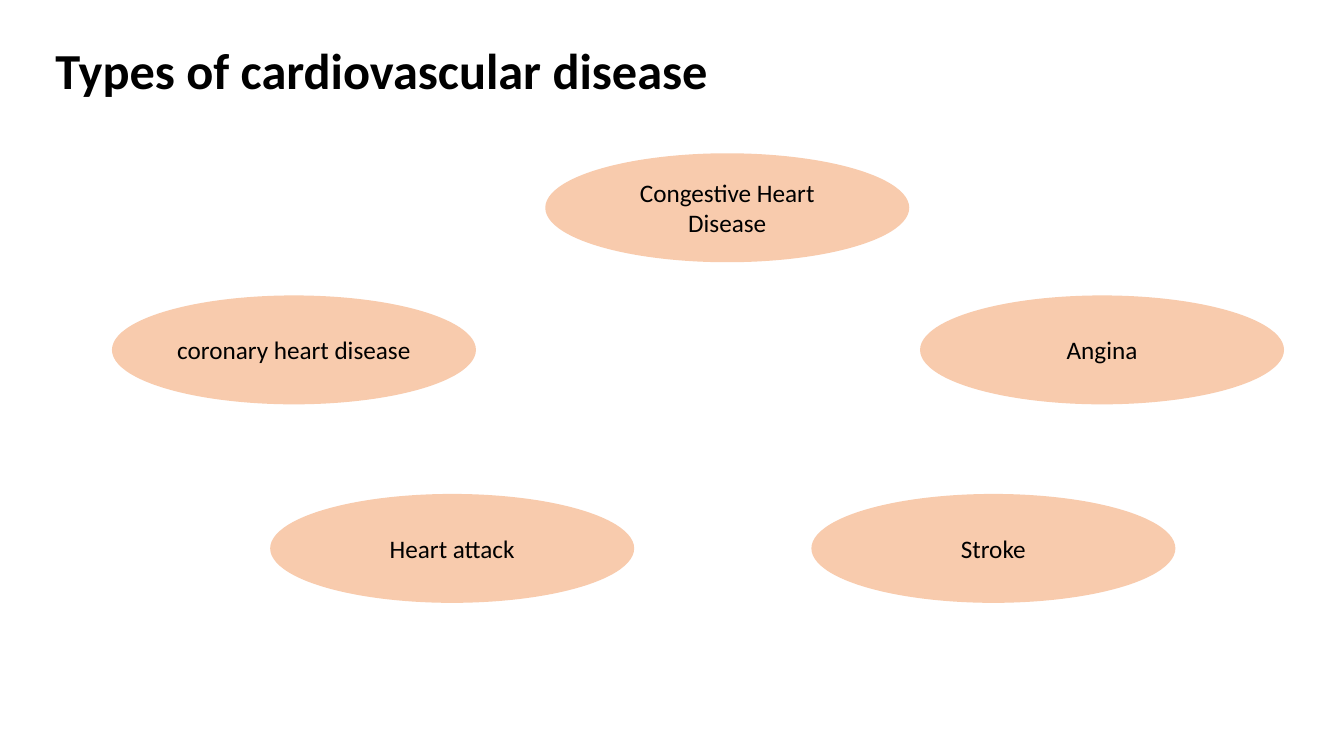
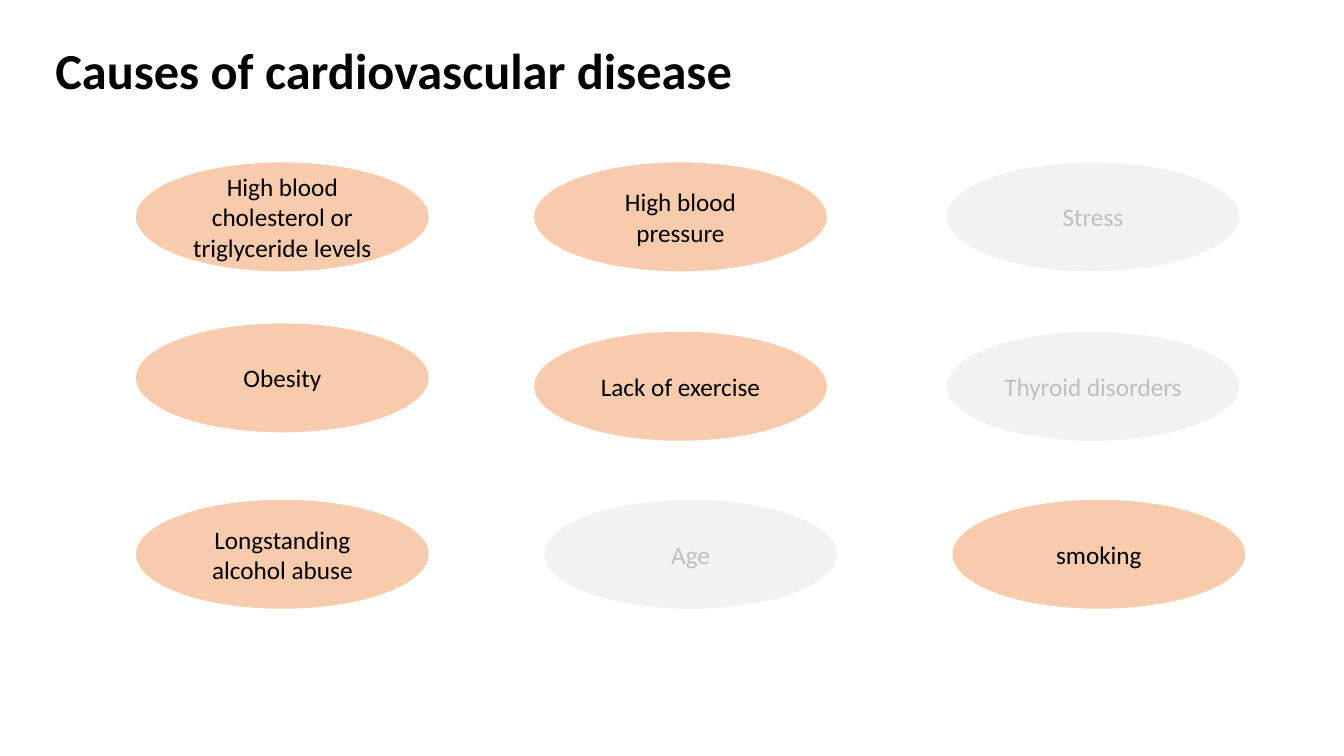
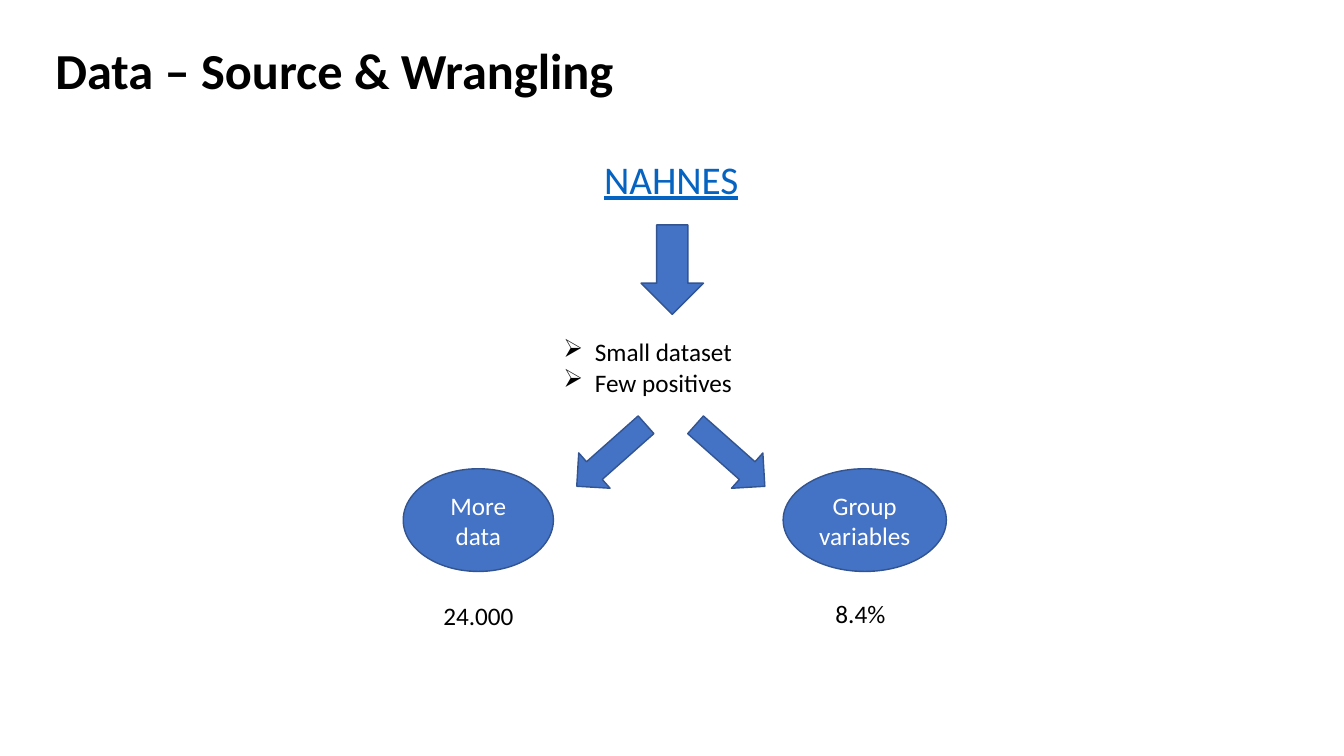
import pptx
import pptx.util
import pptx.dml.color
import pptx.enum.shapes
import pptx.enum.text
import pptx.oxml.ns
from lxml import etree

Pt = pptx.util.Pt
RGBColor = pptx.dml.color.RGBColor
Shape = pptx.enum.shapes.MSO_SHAPE
Align = pptx.enum.text.PP_ALIGN

BLACK = RGBColor(0x00, 0x00, 0x00)
WHITE = RGBColor(0xFF, 0xFF, 0xFF)
PEACH = RGBColor(0xF8, 0xCB, 0xAD)
PALE_GREY = RGBColor(0xF2, 0xF2, 0xF2)
FADED_TEXT = RGBColor(0xBF, 0xBF, 0xBF)
BLUE = RGBColor(0x44, 0x72, 0xC4)
DARK_BLUE = RGBColor(0x32, 0x54, 0x91)
LINK_BLUE = RGBColor(0x05, 0x63, 0xC1)


class Deck:
    """Holds the shared style and the slide being filled."""

    font = "Calibri"
    body_size = 18
    title_size = 36
    bullet_indent = 22.5

    def __init__(self):
        self.prs = pptx.Presentation()
        self.prs.slide_width, self.prs.slide_height = Pt(960), Pt(540)
        self.slide = None

    def new_slide(self, title):
        self.slide = self.prs.slides.add_slide(self.prs.slide_layouts[6])
        self.text(title, 32.4, 24.5, 580, 51, size=self.title_size, bold=True)

    def fill_text(self, frame, text, color, size, align, bold=False, underline=False):
        frame.word_wrap = True
        frame.text = text
        for paragraph in frame.paragraphs:
            paragraph.alignment = align
            for run in paragraph.runs:
                font = run.font
                font.name, font.size, font.bold = self.font, Pt(size), bold
                font.underline = underline
                font.color.rgb = color

    def text(self, text, left, top, width, height, size=body_size,
             color=BLACK, align=Align.LEFT, bold=False, underline=False):
        box = self.slide.shapes.add_textbox(Pt(left), Pt(top), Pt(width), Pt(height))
        self.fill_text(box.text_frame, text, color, size, align, bold, underline)
        box.text_frame.auto_size = pptx.enum.text.MSO_AUTO_SIZE.SHAPE_TO_FIT_TEXT
        return box

    def bullets(self, items, left, top, width, height):
        box = self.text("\n".join(items), left, top, width, height)
        indent = Pt(self.bullet_indent)
        for paragraph in box.text_frame.paragraphs:
            properties = paragraph._p.get_or_add_pPr()
            properties.set("marL", str(indent))
            properties.set("indent", str(-indent))
            mark = etree.SubElement(properties, pptx.oxml.ns.qn("a:buChar"))
            mark.set("char", "➢")

    def shape(self, kind, left, top, width, height, fill, line=None):
        shape = self.slide.shapes.add_shape(
            kind, Pt(left), Pt(top), Pt(width), Pt(height))
        shape.shadow.inherit = False
        shape.fill.solid()
        shape.fill.fore_color.rgb = fill
        if line is None:
            shape.line.fill.background()
        else:
            shape.line.color.rgb = line
            shape.line.width = Pt(1)
        return shape

    def ellipse(self, text, left, top, width, height,
                fill=PEACH, color=BLACK, line=None):
        oval = self.shape(Shape.OVAL, left, top, width, height, fill, line)
        oval.text_frame.vertical_anchor = pptx.enum.text.MSO_ANCHOR.MIDDLE
        self.fill_text(oval.text_frame, text, color, self.body_size, Align.CENTER)

    def arrow(self, left, top, width, height, rotation=0):
        arrow = self.shape(Shape.DOWN_ARROW, left, top, width, height, BLUE, DARK_BLUE)
        arrow.rotation = rotation


def add_types(deck):
    deck.new_slide("Types of cardiovascular disease")
    for disease, left, top in (
            ("coronary heart disease", 80, 211),
            ("Congestive Heart Disease", 389.5, 109.5),
            ("Angina", 657.2, 211),
            ("Heart attack", 193, 352.8),
            ("Stroke", 579.6, 352.8)):
        deck.ellipse(disease, left, top, 260, 77.8)


def add_causes(deck):
    deck.new_slide("Causes of cardiovascular disease")
    # Each cause: text, left, top, still relevant
    for cause, left, top, relevant in (
            ("High blood cholesterol or triglyceride levels", 97.2, 116, True),
            ("High blood pressure", 381.6, 116, True),
            ("Stress", 676.2, 116, False),
            ("Obesity", 97.2, 231, True),
            ("Lack of exercise", 381.6, 237, True),
            ("Thyroid disorders", 676.2, 237, False),
            ("Longstanding alcohol abuse", 97.2, 357, True),
            ("Age", 388.8, 357, False),
            ("smoking", 680.4, 357, True)):
        fill, color = (PEACH, BLACK) if relevant else (PALE_GREY, FADED_TEXT)
        deck.ellipse(cause, left, top, 209, 77.8, fill, color)


def add_data(deck):
    deck.new_slide("Data – Source & Wrangling")
    # Source and its limits
    deck.text("NAHNES", 360.7, 107.3, 237.6, 41, size=28, color=LINK_BLUE,
              align=Align.CENTER, underline=True)
    deck.arrow(457.9, 160.6, 44.6, 64)
    deck.bullets(["Small dataset", "Few positives"], 395.3, 236.9, 170, 51)
    # Two remedies, each with its result
    for remedy, left, width, arrow_left, rotation, result, result_left, result_top in (
            ("More data", 288, 107.3, 419.8, 48.4, "24.000", 309.6, 425.5),
            ("Group variables", 559.4, 116.6, 504.7, 311.6, "8.4%", 589.7, 424)):
        deck.arrow(arrow_left, 292.3, 33.8, 66.2, rotation)
        deck.ellipse(remedy, left, 334.8, width, 73.4, BLUE, WHITE, DARK_BLUE)
        deck.text(result, result_left, result_top, 68.4, 29)


def main():
    deck = Deck()
    add_types(deck)
    add_causes(deck)
    add_data(deck)
    deck.prs.save("out.pptx")


if __name__ == "__main__":
    main()
